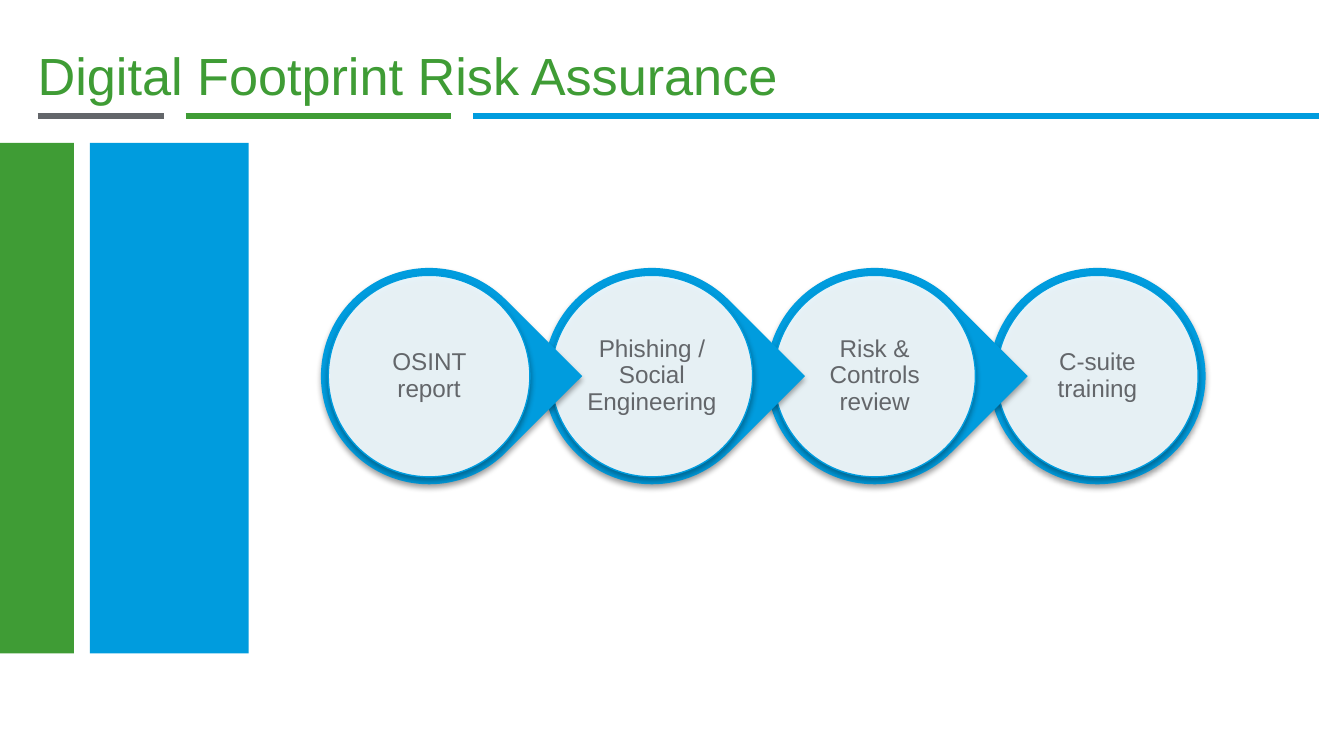
"""Build the Digital Footprint Risk Assurance slide."""
from dataclasses import dataclass

from lxml import etree
from pptx import Presentation
from pptx.dml.color import RGBColor
from pptx.enum.shapes import MSO_CONNECTOR, MSO_SHAPE
from pptx.enum.text import MSO_ANCHOR, MSO_AUTO_SIZE, PP_ALIGN
from pptx.oxml.ns import qn
from pptx.util import Cm, Pt

STRAIGHT = MSO_CONNECTOR.STRAIGHT
RECTANGLE, OVAL, TEAR = MSO_SHAPE.RECTANGLE, MSO_SHAPE.OVAL, MSO_SHAPE.TEAR
MIDDLE, BOTTOM = MSO_ANCHOR.MIDDLE, MSO_ANCHOR.BOTTOM
LEFT, CENTER = PP_ALIGN.LEFT, PP_ALIGN.CENTER
NO_AUTOFIT = MSO_AUTO_SIZE.NONE
TITLE_ONLY = 5


@dataclass(frozen=True)
class Theme:
    """Colours and type sizes of the slide."""
    green: RGBColor = RGBColor(0x3F, 0x9C, 0x35)
    blue: RGBColor = RGBColor(0x00, 0x9C, 0xDE)
    grey: RGBColor = RGBColor(0x63, 0x66, 0x6A)
    white: RGBColor = RGBColor(0xFF, 0xFF, 0xFF)
    font: str = "Arial"
    title_size: int = 28
    step_size: int = 13


THEME = Theme()
STEPS = ["OSINT report", "Phishing / Social Engineering",
         "Risk & Controls review", "C-suite training"]
RULES = [(0.71, 3.1, THEME.grey), (3.51, 8.53, THEME.green),
         (8.94, 24.92, THEME.blue)]
RULE_Y = 2.19
BANDS = [(0, 1.4, THEME.green), (1.7, 3.0, THEME.blue)]
BAND_TOP, BAND_HEIGHT = 2.7, 9.65
FIRST_CENTER, STEP_PITCH, CENTER_Y = 8.11, 4.21, 7.11
RING_SIZE, DISC_SIZE, LABEL_SIZE = 4.09, 3.81, 2.72


def apply_format(target, values):
    """Set every attribute named in values on target."""
    for name, value in values.items():
        setattr(target, name, value)


def format_text(frame, text, margin, anchor, align, spacing, size, color):
    """Write one formatted paragraph into a text frame."""
    inset = Cm(margin)
    apply_format(frame, {
        "text": text, "word_wrap": True, "auto_size": NO_AUTOFIT,
        "vertical_anchor": anchor, "margin_left": inset,
        "margin_right": inset, "margin_top": inset, "margin_bottom": inset})
    paragraph = frame.paragraphs[0]
    apply_format(paragraph, {"alignment": align, "line_spacing": spacing})
    apply_format(paragraph.runs[0].font, {"name": THEME.font, "size": Pt(size)})
    paragraph.runs[0].font.color.rgb = color


def set_title(slide, text):
    """Place and format the title placeholder."""
    title = slide.shapes.title
    apply_format(title, {"left": Cm(0.71), "top": Cm(0.81),
                         "width": Cm(24.21), "height": Cm(1.2)})
    format_text(title.text_frame, text, 0, BOTTOM, LEFT, 1.0,
                THEME.title_size, THEME.green)


def add_rule(slide, start, end, color):
    """Draw one segment of the line under the title."""
    rule = slide.shapes.add_connector(
        STRAIGHT, Cm(start), Cm(RULE_Y), Cm(end), Cm(RULE_Y))
    rule.line.color.rgb = color
    rule.line.width = Pt(2.83)
    etree.SubElement(rule._element.spPr, qn("a:effectLst"))


def add_filled(slide, kind, left, top, width, height, color):
    """Draw a flat filled shape without an outline."""
    shape = slide.shapes.add_shape(
        kind, Cm(left), Cm(top), Cm(width), Cm(height))
    shape.shadow.inherit = False
    shape.fill.solid()
    shape.fill.fore_color.rgb = color
    shape.line.fill.background()
    return shape


def add_soft_shadow(shape):
    """Give a shape a soft shadow that falls straight down."""
    effects = shape._element.spPr.find(qn("a:effectLst"))
    shadow = etree.SubElement(
        effects, qn("a:outerShdw"), blurRad=str(Pt(3.1)), dist=str(Pt(1.8)),
        dir="5400000", rotWithShape="0")
    black = etree.SubElement(shadow, qn("a:srgbClr"), val="000000")
    etree.SubElement(black, qn("a:alpha"), val="35000")


def add_round(slide, kind, center, size, color):
    """Draw a shadowed round shape around a center on the step row."""
    shape = add_filled(slide, kind, center - size / 2, CENTER_Y - size / 2,
                       size, size, color)
    add_soft_shadow(shape)
    return shape


def add_step(slide, center, text, is_last):
    """Draw one process step: ring, translucent disc and label."""
    ring = add_round(slide, OVAL if is_last else TEAR, center, RING_SIZE,
                     THEME.blue)
    ring.rotation = 0 if is_last else 45

    disc = add_round(slide, OVAL, center, DISC_SIZE, THEME.white)
    disc_color = disc._element.spPr.find(qn("a:solidFill"))[0]
    etree.SubElement(disc_color, qn("a:alpha"), val="90000")
    disc.line.color.rgb = THEME.blue
    disc.line.width = Pt(0.75)

    label = slide.shapes.add_textbox(
        Cm(center - LABEL_SIZE / 2), Cm(CENTER_Y - LABEL_SIZE / 2),
        Cm(LABEL_SIZE), Cm(LABEL_SIZE))
    format_text(label.text_frame, text, 0.05, MIDDLE, CENTER, 0.9,
                THEME.step_size, THEME.grey)


def main():
    """Build and save the slide."""
    deck = Presentation()
    apply_format(deck, {"slide_width": Cm(25.4), "slide_height": Cm(14.29)})
    slide = deck.slides.add_slide(deck.slide_layouts[TITLE_ONLY])
    for start, end, color in RULES:
        add_rule(slide, start, end, color)
    for left, width, color in BANDS:
        add_filled(slide, RECTANGLE, left, BAND_TOP, width, BAND_HEIGHT, color)
    set_title(slide, "Digital Footprint Risk Assurance")
    last = len(STEPS) - 1
    for index, text in reversed(list(enumerate(STEPS))):
        add_step(slide, FIRST_CENTER + index * STEP_PITCH, text, index == last)
    deck.save("out.pptx")


if __name__ == "__main__":
    main()
